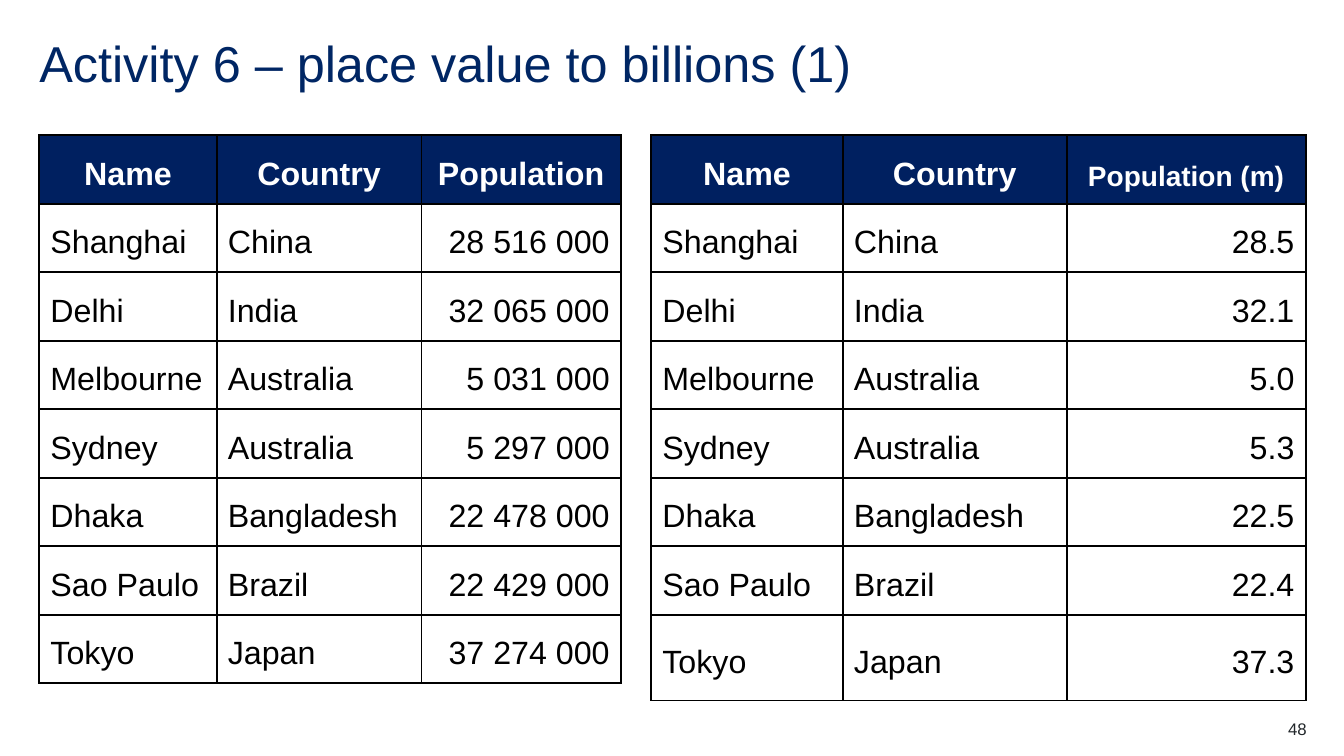
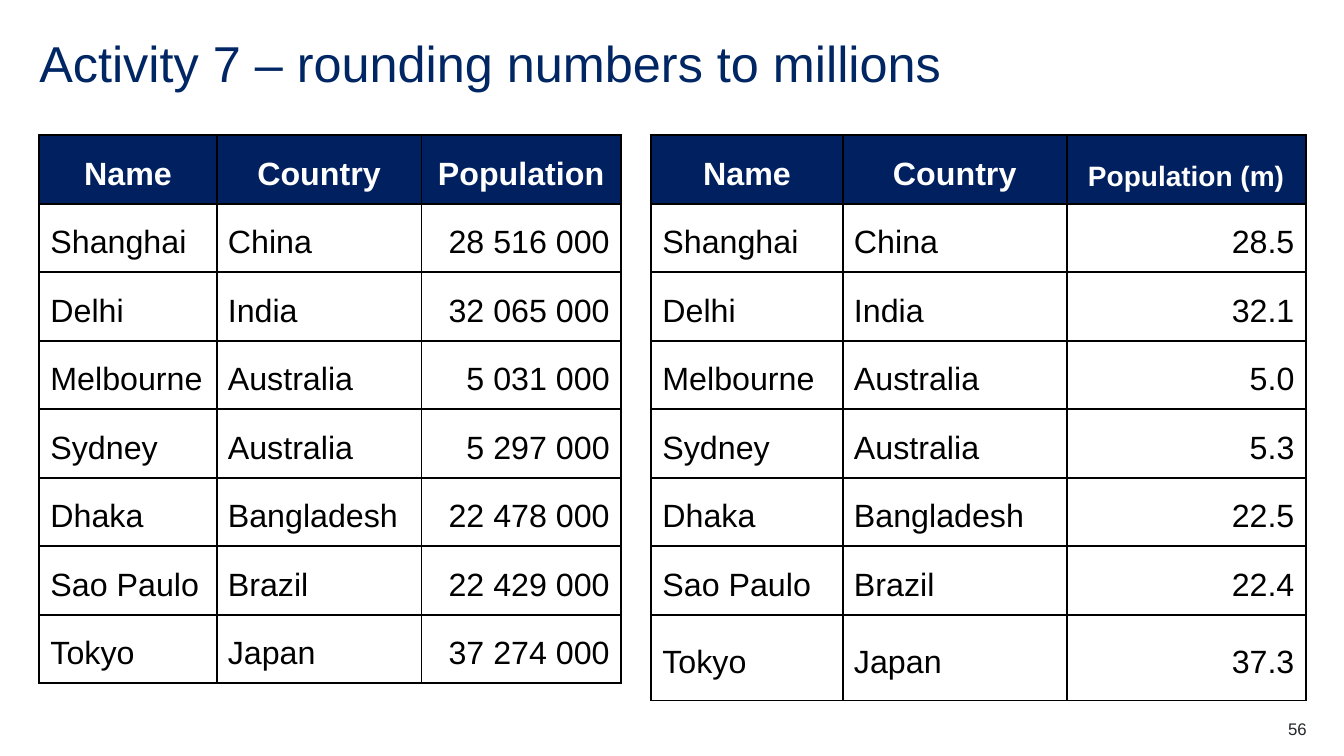
from lxml import etree
from pptx import Presentation
from pptx.dml.color import RGBColor
from pptx.enum.text import MSO_ANCHOR as ANCHOR, PP_ALIGN as ALIGN
from pptx.oxml.ns import qn
from pptx.util import Inches, Pt

# Shared look
FONT = "Arial"
TITLE_BLUE = RGBColor(0x00, 0x26, 0x64)
HEADER_BLUE = RGBColor(0x00, 0x20, 0x60)
FOOTER_GREY = RGBColor(0x22, 0x27, 0x2B)
BLACK = RGBColor(0x00, 0x00, 0x00)
WHITE = RGBColor(0xFF, 0xFF, 0xFF)
BORDER_WIDTH = Pt(1.5)
LINE_SPACING = Pt(32.2)
LEFT, TABLE_TOP = 0.39, 1.34
ROW_HEIGHT = 0.68
CELL_MARGINS = dict.fromkeys(
    ("margin_left", "margin_top", "margin_right", "margin_bottom"), Inches(0.11))
NO_MARGINS = dict.fromkeys(CELL_MARGINS, Inches(0))
BODY_ALIGNS = (ALIGN.LEFT, ALIGN.LEFT, ALIGN.RIGHT)

# Content
CITIES = [
    ("Shanghai", "China", 28516000),
    ("Delhi", "India", 32065000),
    ("Melbourne", "Australia", 5031000),
    ("Sydney", "Australia", 5297000),
    ("Dhaka", "Bangladesh", 22478000),
    ("Sao Paulo", "Brazil", 22429000),
    ("Tokyo", "Japan", 37274000),
]
SLIDES = [
    ("Activity 6 – place value to billions (1)", 48),
    ("Activity 7 – rounding numbers to millions", 56),
]


def set_attrs(obj, values):
    for name, value in values.items():
        setattr(obj, name, value)


def write(p, text, size, color, bold=False, **layout):
    set_attrs(p, layout)
    r = p.add_run()
    r.text = text
    set_attrs(r.font, {"name": FONT, "size": Pt(size), "bold": bold})
    r.font.color.rgb = color


def add_text(slide, box, text, size, color, **layout):
    tf = slide.shapes.add_textbox(*map(Inches, box)).text_frame
    set_attrs(tf, {"word_wrap": True, **NO_MARGINS})
    write(tf.paragraphs[0], text, size, color, **layout)


def add_borders(cell):
    tc_pr = cell._tc.get_or_add_tcPr()
    for side in ("a:lnL", "a:lnR", "a:lnT", "a:lnB"):
        ln = etree.SubElement(tc_pr, qn(side), w=str(BORDER_WIDTH))
        fill = etree.SubElement(ln, qn("a:solidFill"))
        etree.SubElement(fill, qn("a:srgbClr"), val=str(BLACK))


def fill_cell(cell, text, size, align, header):
    set_attrs(cell, {"vertical_anchor": ANCHOR.MIDDLE, **CELL_MARGINS})
    add_borders(cell)
    cell.fill.solid()
    cell.fill.fore_color.rgb = HEADER_BLUE if header else WHITE
    write(cell.text_frame.paragraphs[0], text, size, WHITE if header else BLACK,
          bold=header, alignment=align, line_spacing=LINE_SPACING)


def add_city_table(slide, left, widths, heading, heading_size, show, last_height=ROW_HEIGHT):
    rows = [("Name", "Country", heading)]
    rows += [(name, country, show(people)) for name, country, people in CITIES]
    heights = [ROW_HEIGHT] * (len(rows) - 1) + [last_height]
    box = (left, TABLE_TOP, sum(widths), sum(heights))
    table = slide.shapes.add_table(len(rows), len(widths), *map(Inches, box)).table
    table.horz_banding = False
    for column, width in zip(table.columns, widths):
        column.width = Inches(width)
    for i, (values, height) in enumerate(zip(rows, heights)):
        table.rows[i].height = Inches(height)
        header = i == 0
        for j, (text, align) in enumerate(zip(values, BODY_ALIGNS)):
            size = heading_size if header and j == 2 else 23
            fill_cell(table.cell(i, j), text, size,
                      ALIGN.CENTER if header else align, header)


def grouped(people):
    return f"{people:,}".replace(",", " ")


def in_millions(people):
    return f"{people / 1e6:.1f}"


def add_activity(prs, title, number):
    s = prs.slides.add_slide(prs.slide_layouts[6])
    add_text(s, (LEFT, 0.39, 11.34, 0.6), title, 36, TITLE_BLUE, line_spacing=0.9)
    add_text(s, (12.17, 7.13, 0.79, 0.2), str(number), 12, FOOTER_GREY,
             alignment=ALIGN.RIGHT)
    add_city_table(s, LEFT, (1.76, 2.03, 1.98), "Population", 23, grouped)
    add_city_table(s, 6.46, (1.9, 2.22, 2.37), "Population (m)", 20, in_millions,
                   last_height=0.85)


def main():
    prs = Presentation()
    prs.slide_width, prs.slide_height = Inches(13.33), Inches(7.5)
    for title, number in SLIDES:
        add_activity(prs, title, number)
    prs.save("out.pptx")


if __name__ == "__main__":
    main()
